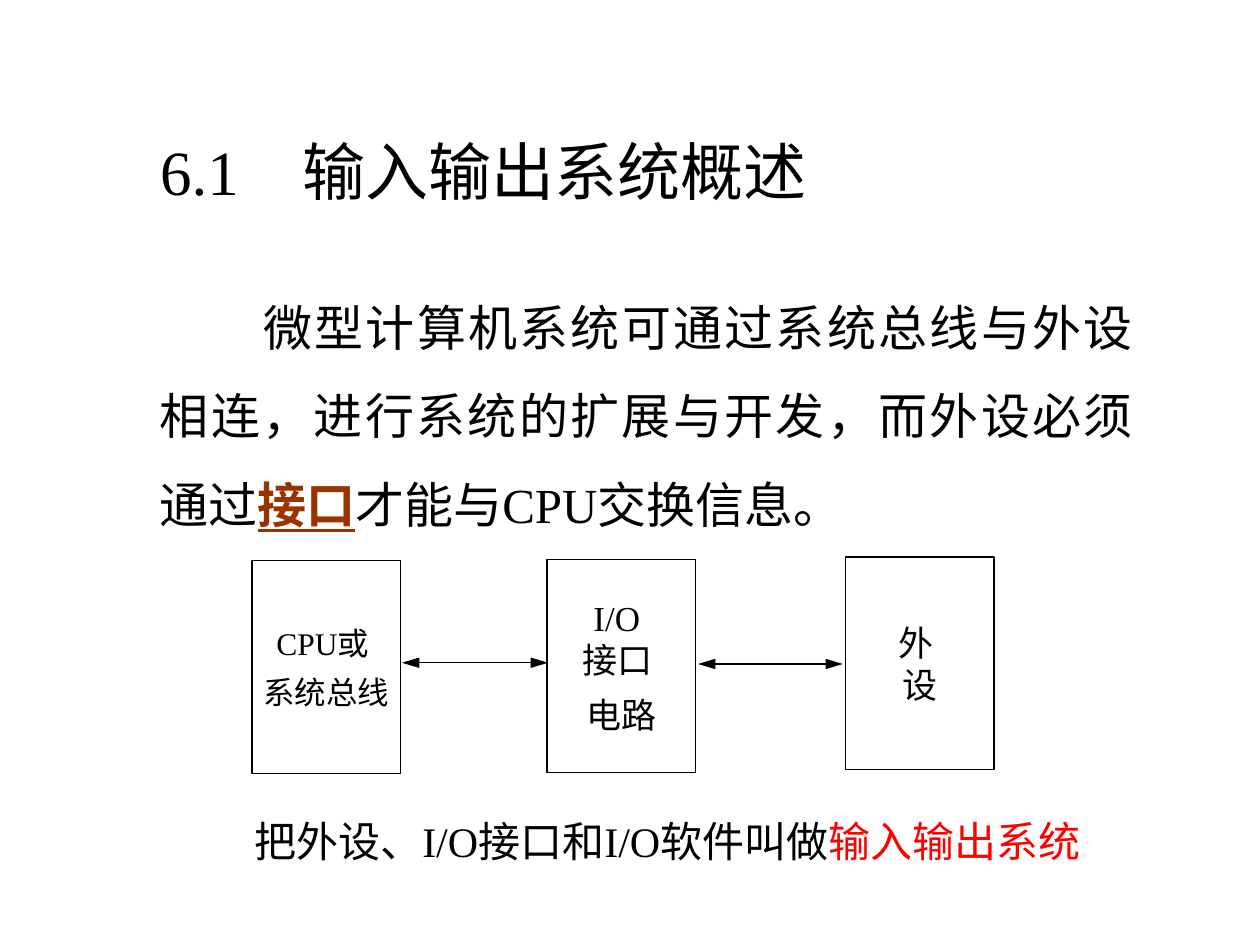
"""Build a slide that introduces the input/output system with a block diagram."""
from dataclasses import dataclass

from lxml import etree
from pptx import Presentation
from pptx.dml.color import RGBColor
from pptx.enum.shapes import MSO_CONNECTOR, MSO_SHAPE
from pptx.enum.text import MSO_ANCHOR, MSO_AUTO_SIZE, PP_ALIGN
from pptx.oxml.ns import qn
from pptx.util import Inches, Pt

BLACK = RGBColor(0x00, 0x00, 0x00)
WHITE = RGBColor(0xFF, 0xFF, 0xFF)
BROWN = RGBColor(0x99, 0x33, 0x00)
RED = RGBColor(0xFF, 0x00, 0x00)
FONT = "Times New Roman"
LINE_WIDTH = Pt(0.75)
BLOCK_WIDTH, BLOCK_HEIGHT = 1.18, 1.69
CENTER, JUSTIFY, LEFT = PP_ALIGN.CENTER, PP_ALIGN.JUSTIFY, PP_ALIGN.LEFT
MIDDLE, TOP = MSO_ANCHOR.MIDDLE, MSO_ANCHOR.TOP
FIT_SHAPE, NO_FIT = MSO_AUTO_SIZE.SHAPE_TO_FIT_TEXT, MSO_AUTO_SIZE.NONE
RECTANGLE = MSO_SHAPE.RECTANGLE
STRAIGHT = MSO_CONNECTOR.STRAIGHT


@dataclass
class Span:
    text: str
    color: RGBColor = BLACK
    strong: bool = False


@dataclass
class Line:
    text: str
    spacing: float = 1.0


@dataclass
class Block:
    left: float
    top: float
    size: int
    lines: list[Line]


@dataclass
class Arrow:
    start: float
    end: float
    height: float


BLOCKS = [
    Block(2, 4.45, 18, [Line("CPU或 "), Line("系统总线", 1.3)]),
    Block(4.34, 4.44, 20, [Line("I/O "), Line("接口 "), Line("电路", 1.3)]),
    Block(6.71, 4.42, 20, [Line("外 "), Line("设")]),
]
ARROWS = [Arrow(3.19, 4.35, 5.26), Arrow(5.54, 6.69, 5.27)]
BODY = [
    Span("微型计算机系统可通过系统总线与外设相连，进行系统的扩展与开发，而外设必须通过"),
    Span("接口", BROWN, True),
    Span("才能与CPU交换信息。"),
]
SUMMARY = [Span("把外设、I/O接口和I/O软件叫做"), Span("输入输出系统", RED)]


def add_spans(para, spans: list[Span], size: int) -> None:
    """Append formatted runs to a paragraph."""
    for span in spans:
        run = para.add_run()
        run.text = span.text
        run.font.name = FONT
        run.font.size = Pt(size)
        run.font.color.rgb = span.color
        run.font.bold = span.strong
        run.font.underline = span.strong


def fill_title(title) -> None:
    """Place the title and align its wording to a tab stop."""
    title.left, title.top = Inches(1.17), Inches(1)
    title.width, title.height = Inches(8.39), Inches(0.71)
    frame = title.text_frame
    frame.word_wrap = True
    frame.auto_size = NO_FIT
    frame.vertical_anchor = MIDDLE
    para = frame.paragraphs[0]
    para.alignment = LEFT
    tabs = etree.SubElement(para._p.get_or_add_pPr(), qn("a:tabLst"))
    etree.SubElement(tabs, qn("a:tab"), pos=str(Inches(1.13)), algn="l")
    add_spans(para, [Span("6.1\t输入输出系统概述")], 36)


def add_text(page, left: float, top: float, width: float, height: float,
             spans: list[Span], size: int):
    """Add a wrapping text box and return its paragraph."""
    box = page.shapes.add_textbox(Inches(left), Inches(top), Inches(width), Inches(height))
    frame = box.text_frame
    frame.word_wrap = True
    frame.auto_size = FIT_SHAPE
    frame.vertical_anchor = TOP
    para = frame.paragraphs[0]
    add_spans(para, spans, size)
    return para


def add_block(page, block: Block) -> None:
    """Draw one labelled block of the diagram."""
    box = page.shapes.add_shape(RECTANGLE, Inches(block.left), Inches(block.top),
                                Inches(BLOCK_WIDTH), Inches(BLOCK_HEIGHT))
    box.shadow.inherit = False
    box.fill.solid()
    box.fill.fore_color.rgb = WHITE
    box.line.color.rgb = BLACK
    box.line.width = LINE_WIDTH
    frame = box.text_frame
    frame.word_wrap = False
    frame.vertical_anchor = MIDDLE
    for index, line in enumerate(block.lines):
        para = frame.add_paragraph() if index else frame.paragraphs[0]
        para.alignment = CENTER
        para.line_spacing = line.spacing
        add_spans(para, [Span(line.text)], block.size)


def add_arrow(page, arrow: Arrow) -> None:
    """Draw a horizontal arrow with a head at both ends."""
    height = Inches(arrow.height)
    connector = page.shapes.add_connector(STRAIGHT, Inches(arrow.start), height,
                                          Inches(arrow.end), height)
    connector.line.color.rgb = BLACK
    connector.line.width = LINE_WIDTH
    outline = connector.line._get_or_add_ln()
    for end in ("a:headEnd", "a:tailEnd"):
        etree.SubElement(outline, qn(end), type="triangle", w="med", len="lg")
    etree.SubElement(connector._element.spPr, qn("a:effectLst"))


def main() -> None:
    """Create the deck and save it."""
    deck = Presentation()
    deck.slide_width, deck.slide_height = Inches(10), Inches(7.5)
    page = deck.slides.add_slide(deck.slide_layouts[5])
    fill_title(page.shapes.title)
    body = add_text(page, 1.17, 2.08, 7.92, 2.2, BODY, 28)
    body.alignment = JUSTIFY
    body.line_spacing = 1.5
    body._p.get_or_add_pPr().set("indent", str(Inches(0.82)))
    for block in BLOCKS:
        add_block(page, block)
    for arrow in ARROWS:
        add_arrow(page, arrow)
    add_text(page, 1.92, 6.42, 7, 0.5, SUMMARY, 24)
    deck.save("out.pptx")


if __name__ == "__main__":
    main()
